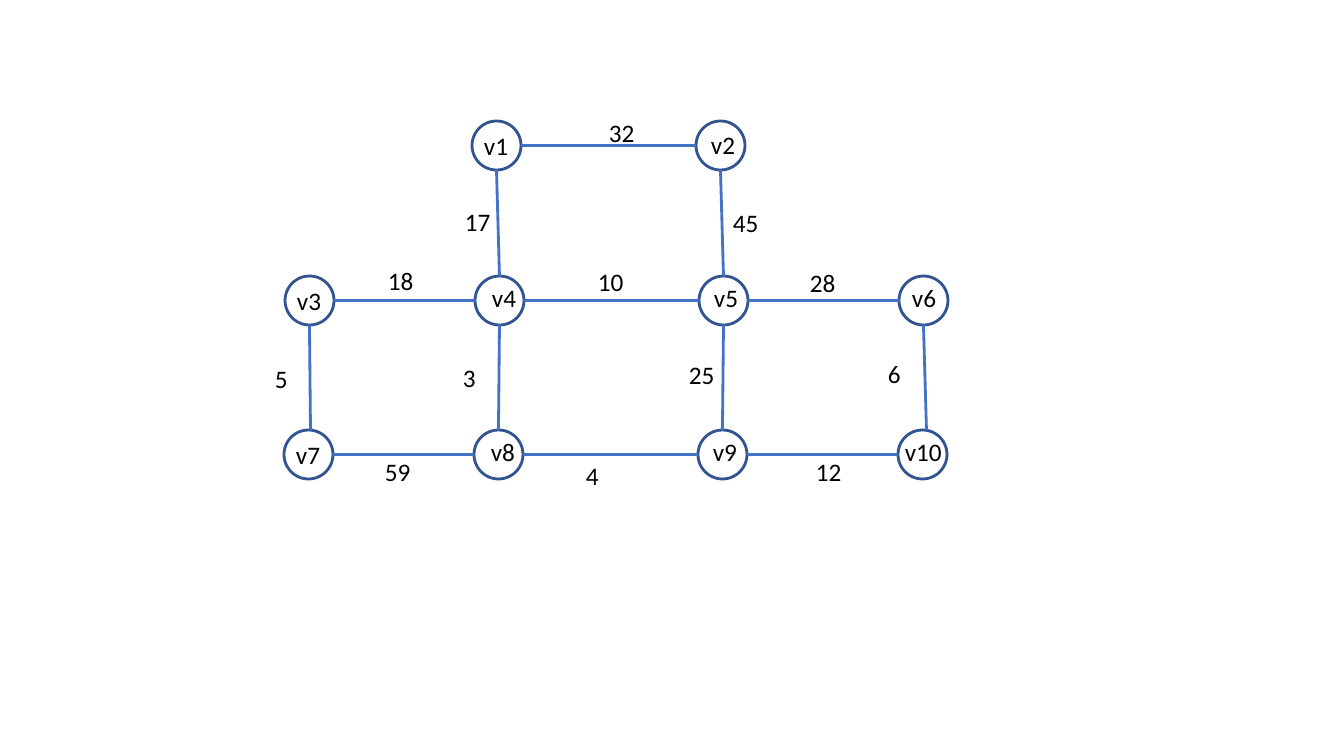
from pptx import Presentation
from pptx import util as u
from pptx.dml.color import RGBColor
from pptx.enum import shapes, text
from pptx.oxml import ns, xmlchemy

PIXEL = 914400 / 100.8
OUTLINE = RGBColor(0x32, 0x54, 0x91)
EDGE = RGBColor(0x44, 0x72, 0xC4)
BLACK = RGBColor(0, 0, 0)
DIAMETER = 49
RADIUS = DIAMETER / 2
LABEL_HEIGHT = 40


def px(*lengths):
    """Turn pixel lengths into EMU."""
    return [u.Emu(round(length * PIXEL)) for length in lengths]


def add_label(slide, wording, left, top, width):
    """Add a single-line label in a text box."""
    box = slide.shapes.add_textbox(*px(left, top, width, LABEL_HEIGHT))
    frame = box.text_frame
    frame.word_wrap = False
    frame.auto_size = text.MSO_AUTO_SIZE.SHAPE_TO_FIT_TEXT
    run = frame.paragraphs[0].add_run()
    run.text = wording
    run.font.name = "Calibri"
    run.font.size = u.Pt(18)
    run.font.color.rgb = BLACK


presentation = Presentation()
presentation.slide_width, presentation.slide_height = px(1344, 756)
slide = presentation.slides.add_slide(presentation.slide_layouts[6])

# Vertex: circle left and top, label left and top
vertices = {
    "v1": (472, 121, 474, 125),
    "v2": (696, 121, 701, 124),
    "v3": (285, 276, 287, 280),
    "v4": (475, 276, 482, 277),
    "v5": (699, 276, 704, 277),
    "v6": (899, 276, 902, 277),
    "v7": (284, 430, 286, 434),
    "v8": (474, 430, 481, 431),
    "v9": (698, 430, 703, 431),
    "v10": (898, 430, 895, 431),
}

# Edge: start, end, weight, label left and top
horizontal_edges = [
    ("v1", "v2", 32, 599, 112),
    ("v3", "v4", 18, 378, 260),
    ("v4", "v5", 10, 588, 261),
    ("v5", "v6", 28, 800, 262),
    ("v7", "v8", 59, 375, 451),
    ("v8", "v9", 4, 576, 455),
    ("v9", "v10", 12, 806, 451),
]
vertical_edges = [
    ("v1", "v4", 17, 455, 201),
    ("v2", "v5", 45, 723, 202),
    ("v3", "v7", 5, 265, 358),
    ("v4", "v8", 3, 453, 357),
    ("v5", "v9", 25, 679, 354),
    ("v6", "v10", 6, 878, 353),
]
# Vertical edges that meet the lower circle right of its middle
end_shifts = {"v7": 2, "v10": 4}

for left, top, *_ in vertices.values():
    circle = slide.shapes.add_shape(
        shapes.MSO_SHAPE.OVAL, *px(left, top, DIAMETER, DIAMETER))
    circle.shadow.inherit = False
    circle.fill.background()
    circle.line.color.rgb = OUTLINE
    circle.line.width = u.Pt(2)

lines = []
for start, end, *_ in horizontal_edges:
    left, top, *_ = vertices[start]
    middle = top + RADIUS
    lines.append((left + DIAMETER, middle, vertices[end][0], middle))
for start, end, *_ in vertical_edges:
    left, top, *_ = vertices[start]
    end_left, end_top, *_ = vertices[end]
    end_x = end_left + RADIUS + end_shifts.get(end, 0)
    lines.append((left + RADIUS, top + DIAMETER, end_x, end_top))

for ends in lines:
    connector = slide.shapes.add_connector(
        shapes.MSO_CONNECTOR.STRAIGHT, *px(*ends))
    connector.line.color.rgb = EDGE
    connector.line.width = u.Pt(2)
    connector._element.spPr.append(xmlchemy.OxmlElement("a:effectLst"))

for name, (_, _, left, top) in vertices.items():
    add_label(slide, name, left, top, 44 if len(name) == 2 else 57)
for _, _, weight, left, top in horizontal_edges + vertical_edges:
    add_label(slide, str(weight), left, top, 46 if weight > 9 else 33)

presentation.save("out.pptx")
